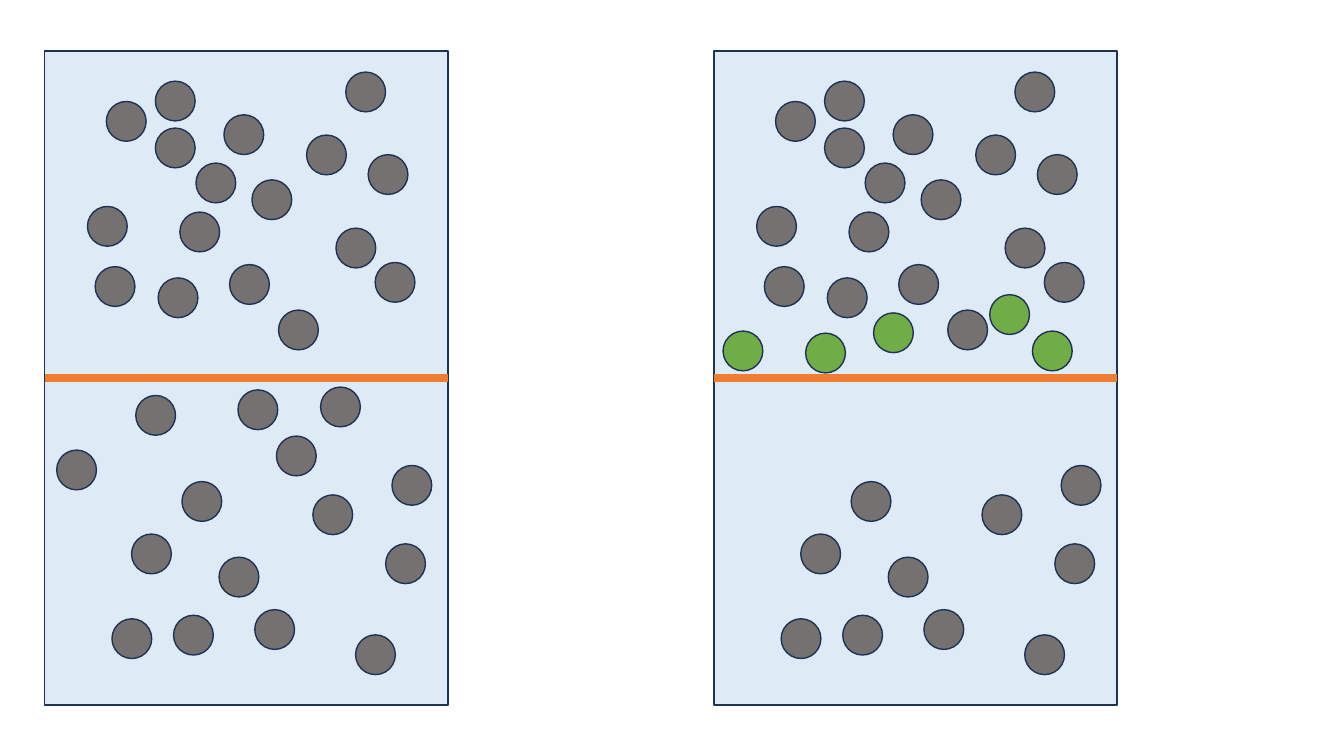
from lxml.etree import SubElement
from pptx import Presentation
from pptx.dml.color import RGBColor
from pptx.enum.shapes import MSO_CONNECTOR, MSO_SHAPE
from pptx.oxml.ns import qn
from pptx.util import Pt

WATER = RGBColor(0xDE, 0xEB, 0xF7)
OUTLINE = RGBColor(0x1E, 0x32, 0x56)
MEMBRANE = RGBColor(0xED, 0x7D, 0x31)
GREY = RGBColor(0x76, 0x71, 0x71)
GREEN = RGBColor(0x70, 0xAD, 0x47)

# Particle positions: left and top in points, measured from the tank's corner
UPPER = [
    (44, 36), (79, 21.5), (79, 55), (108, 80), (96.5, 115), (215, 15),
    (132, 152.5), (148, 92), (81, 162), (36, 154), (187, 60), (208, 126.5),
    (236, 151), (167, 185), (30.5, 111), (128, 45.5), (231, 74),
]
LOWER = [
    (191.5, 317), (248, 296), (222, 417), (243.5, 352), (98, 307.5),
    (150, 399), (124.5, 361.5), (62, 345), (92, 403), (48, 405.5),
]
BEFORE_CROSSING = [(138, 242), (165.5, 275), (197, 240), (65, 246), (8.5, 285)]
AFTER_CROSSING = [(114, 187), (227.5, 200), (197, 174), (65.5, 201.5), (6.5, 200)]

# Left edge of each tank, its moving particles and their colour
TANKS = [
    (32, BEFORE_CROSSING, GREY),
    (510, AFTER_CROSSING, GREEN),
]
TANK_TOP, TANK_WIDTH, TANK_HEIGHT = 36.5, 288, 467
PARTICLE = 28.4


def add_outlined(shapes, kind, left, top, width, height, colour):
    shape = shapes.add_shape(kind, Pt(left), Pt(top), Pt(width), Pt(height))
    shape.shadow.inherit = False
    shape.fill.solid()
    shape.fill.fore_color.rgb = colour
    shape.line.color.rgb = OUTLINE
    shape.line.width = Pt(1)
    return shape


def add_tank(shapes, left, moving, moving_colour):
    """Draw a tank halved by a membrane, with its particles."""
    tank = add_outlined(shapes, MSO_SHAPE.RECTANGLE, left, TANK_TOP,
                        TANK_WIDTH, TANK_HEIGHT, WATER)

    middle = Pt(TANK_TOP + TANK_HEIGHT / 2)
    membrane = shapes.add_connector(MSO_CONNECTOR.STRAIGHT, Pt(left), middle,
                                    Pt(left + TANK_WIDTH), middle)
    membrane.begin_connect(tank, 1)
    membrane.end_connect(tank, 3)
    membrane.line.color.rgb = MEMBRANE
    membrane.line.width = Pt(6)
    SubElement(membrane.line._get_or_add_ln().getparent(), qn("a:effectLst"))

    for places, colour in ((UPPER + LOWER, GREY), (moving, moving_colour)):
        for x, y in places:
            add_outlined(shapes, MSO_SHAPE.OVAL, left + x, TANK_TOP + y,
                         PARTICLE, PARTICLE, colour)


def main():
    deck = Presentation()
    deck.slide_width, deck.slide_height = Pt(960), Pt(540)
    slide = deck.slides.add_slide(deck.slide_layouts[6])
    for left, moving, moving_colour in TANKS:
        add_tank(slide.shapes, left, moving, moving_colour)
    deck.save("out.pptx")


if __name__ == "__main__":
    main()
